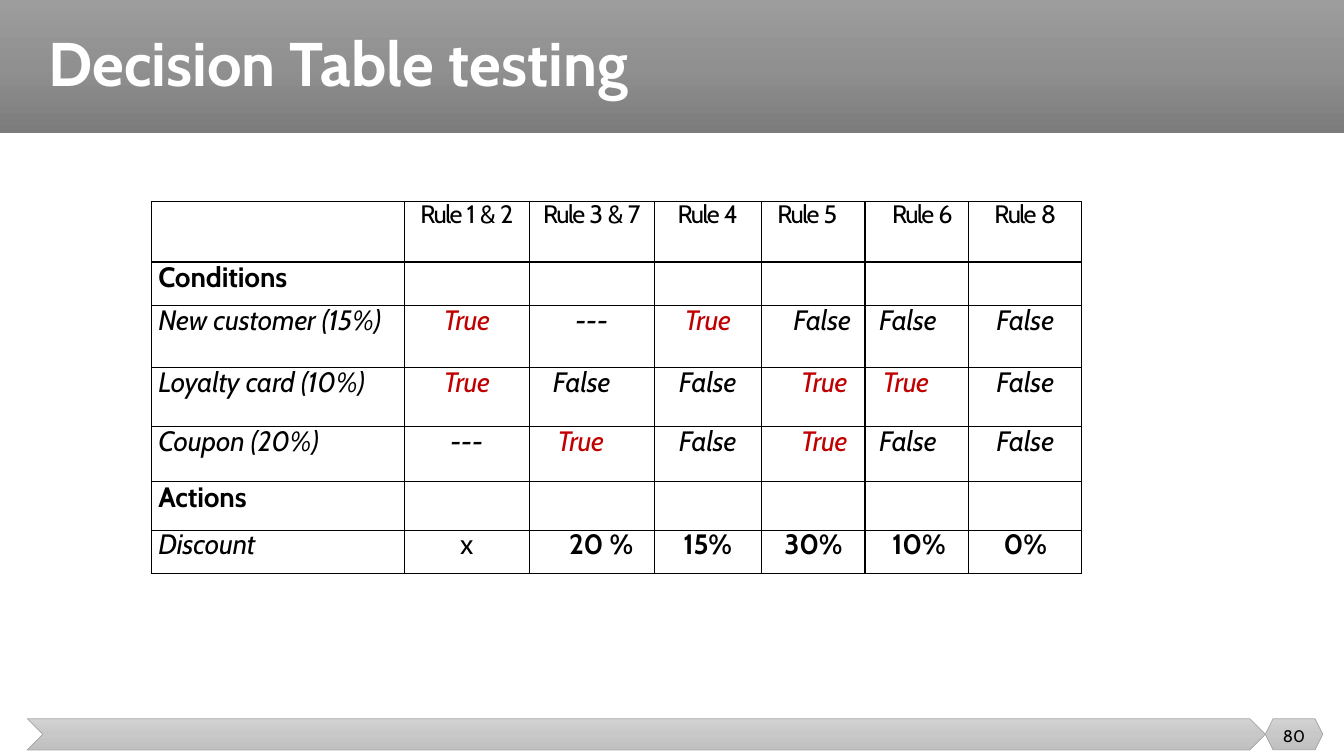
from copy import deepcopy
from pptx import Presentation
from pptx.dml.color import RGBColor
from pptx.enum import shapes, text
from pptx.oxml import parse_xml
from pptx.oxml.ns import nsdecls, qn
from pptx.util import Inches, Pt

# Content
TITLE = "Decision Table testing"
PAGE_NUMBER = "80"
ROWS = [
    ("", "Rule 1 & 2", "Rule 3 & 7", "Rule 4", "Rule 5", "Rule 6", "Rule 8"),
    ("Conditions", "", "", "", "", "", ""),
    ("New customer (15%)", "True", "---", "True", "False", "False", "False"),
    ("Loyalty card (10%)", "True", "False", "False", "True", "True", "False"),
    ("Coupon (20%)", "---", "True", "False", "True", "False", "False"),
    ("Actions", "", "", "", "", "", ""),
    ("Discount", "x", "20 %", "15%", "30%", "10%", "0%"),
]
HEADER_ROW, SECTION_ROWS, DISCOUNT_ROW = 0, (1, 5), 6

# Grid and formats
COLUMN_WIDTHS = [2.51, 1.24, 1.24, 1.06, 1.03, 1.03, 1.12]
ROW_HEIGHTS = [0.6, 0.43, 0.62, 0.58, 0.55, 0.48, 0.43]
LEFT, CENTER, RIGHT = text.PP_ALIGN.LEFT, text.PP_ALIGN.CENTER, text.PP_ALIGN.RIGHT
SHIFTED = {  # (row, column): alignment, left margin, right margin
    (0, 4): (LEFT, 0.16, 0), (0, 5): (RIGHT, 0, 0.16),
    (2, 4): (CENTER, 0.18, 0), (2, 5): (CENTER, 0, 0.18),
    (3, 2): (CENTER, 0, 0.2), (3, 4): (CENTER, 0.22, 0), (3, 5): (CENTER, 0, 0.22),
    (4, 2): (CENTER, 0, 0.22), (4, 4): (CENTER, 0.22, 0), (4, 5): (CENTER, 0, 0.18),
    (6, 2): (RIGHT, 0, 0.21), (6, 4): (LEFT, 0.23, 0), (6, 5): (RIGHT, 0, 0.23),
}
FONT = "Cabin"
BLACK = RGBColor(0, 0, 0)
WHITE = RGBColor(255, 255, 255)
RED = RGBColor(0xC0, 0, 0)
EDGE = RGBColor(0xA5, 0xA5, 0xA5)
DARK_GRADIENT = [RGBColor(v, v, v) for v in (0x9D, 0x90, 0x7C)]
LIGHT_GRADIENT = [RGBColor(v, v, v) for v in (0xD2, 0xC8, 0xC0)]
WIDTH, HEIGHT, BAND_HEIGHT = 13.33, 7.5, 1.32
FOOTER_LEFT, FOOTER_TOP, FOOTER_HEIGHT = 0.27, 7.13, 0.31
BADGE_LEFT, BADGE_WIDTH = 12.55, 0.57


def write(para, words, size, color, spacing=0, **styles):
    span = para.add_run()
    span.text = words
    for name, value in dict(name=FONT, size=Pt(size), **styles).items():
        setattr(span.font, name, value)
    span.font.color.rgb = color
    if spacing:
        span._r.get_or_add_rPr().set("spc", str(round(spacing * 100)))


def add_gradient_shape(page, kind, place, colors, edge=None):
    shape = page.shapes.add_shape(kind, *map(Inches, place))
    shape.shadow.inherit = False
    shape.fill.gradient()
    stop_list = shape.element.find(".//" + qn("a:gsLst"))
    stop_list.insert(1, deepcopy(stop_list[0]))
    for stop, color, position in zip(shape.fill.gradient_stops, colors, (0, 0.5, 1)):
        stop.color.rgb, stop.position = color, position
    shape.fill.gradient_angle = 270
    if edge is None:
        shape.line.fill.background()
    else:
        shape.line.color.rgb, shape.line.width = edge, Pt(0.5)
    return shape


def format_cell(cell):
    for side in "LRTB":
        cell._tc.get_or_add_tcPr().append(parse_xml(
            f'<a:ln{side} {nsdecls("a")} w="{Pt(1)}"><a:solidFill>'
            f'<a:srgbClr val="{BLACK}"/></a:solidFill></a:ln{side}>'))
    cell.fill.background()
    for side in ("left", "right", "top", "bottom"):
        setattr(cell, f"margin_{side}", 0)


def fill_cell(cell, row, column, words):
    para = cell.text_frame.paragraphs[0]
    usual = (CENTER, 0, 0) if column else (LEFT, 0.07, 0)
    para.alignment, left, right = SHIFTED.get((row, column), usual)
    for name, margin in (("marL", left), ("marR", right)):
        para._p.get_or_add_pPr().set(name, str(Inches(margin)))
    if row == HEADER_ROW:
        para.line_spacing = Pt(20.4)
        first, gap, rest = words.partition(" ")
        write(para, first + gap, 18, BLACK, -1.1)
        write(para, rest, 18, BLACK, -0.4)
        return
    section = row in SECTION_ROWS
    para.line_spacing = Pt(23.4 if section else 22.8)
    result = row == DISCOUNT_ROW and column > 0
    write(para, words, 20, RED if words == "True" else BLACK,
          -0.3 if words == "True" else -0.1,
          bold=section or (result and words != "x"), italic=not (section or result))


def add_decision_table(page):
    frame = page.shapes.add_table(
        len(ROWS), len(COLUMN_WIDTHS), Inches(1.5), Inches(2),
        Inches(sum(COLUMN_WIDTHS)), Inches(sum(ROW_HEIGHTS)))
    table = frame.table
    table.first_row = table.horz_banding = False
    for column, width in zip(table.columns, COLUMN_WIDTHS):
        column.width = Inches(width)
    for r, (height, values) in enumerate(zip(ROW_HEIGHTS, ROWS)):
        table.rows[r].height = Inches(height)
        for c, words in enumerate(values):
            format_cell(table.cell(r, c))
            if words:
                fill_cell(table.cell(r, c), r, c, words)


def main():
    deck = Presentation()
    deck.slide_width, deck.slide_height = Inches(WIDTH), Inches(HEIGHT)
    page = deck.slides.add_slide(deck.slide_layouts[5])

    # Title on its band
    title = page.shapes.title
    place = dict(left=0.38, top=0, width=12.74, height=BAND_HEIGHT)
    for name, value in place.items():
        setattr(title, name, Inches(value))
    title.text_frame.vertical_anchor = text.MSO_ANCHOR.MIDDLE
    para = title.text_frame.paragraphs[0]
    para.alignment, para.line_spacing = LEFT, 0.9
    write(para, TITLE, 44, WHITE, bold=True)
    band = add_gradient_shape(page, shapes.MSO_SHAPE.RECTANGLE,
                              (0, 0, WIDTH, BAND_HEIGHT), DARK_GRADIENT)
    title.element.addprevious(band.element)

    # Footer arrow and page number
    add_gradient_shape(
        page, shapes.MSO_SHAPE.CHEVRON,
        (FOOTER_LEFT, FOOTER_TOP, BADGE_LEFT - FOOTER_LEFT, FOOTER_HEIGHT),
        LIGHT_GRADIENT, EDGE)
    add_gradient_shape(
        page, shapes.MSO_SHAPE.HEXAGON,
        (BADGE_LEFT, FOOTER_TOP, BADGE_WIDTH, FOOTER_HEIGHT), LIGHT_GRADIENT, EDGE)
    box = page.shapes.add_textbox(*map(Inches, (BADGE_LEFT, 7.1, BADGE_WIDTH, 0.4)))
    box.text_frame.word_wrap = True
    box.text_frame.vertical_anchor = text.MSO_ANCHOR.MIDDLE
    para = box.text_frame.paragraphs[0]
    para.alignment = CENTER
    write(para, PAGE_NUMBER, 12, BLACK)

    add_decision_table(page)
    deck.save("out.pptx")


if __name__ == "__main__":
    main()
